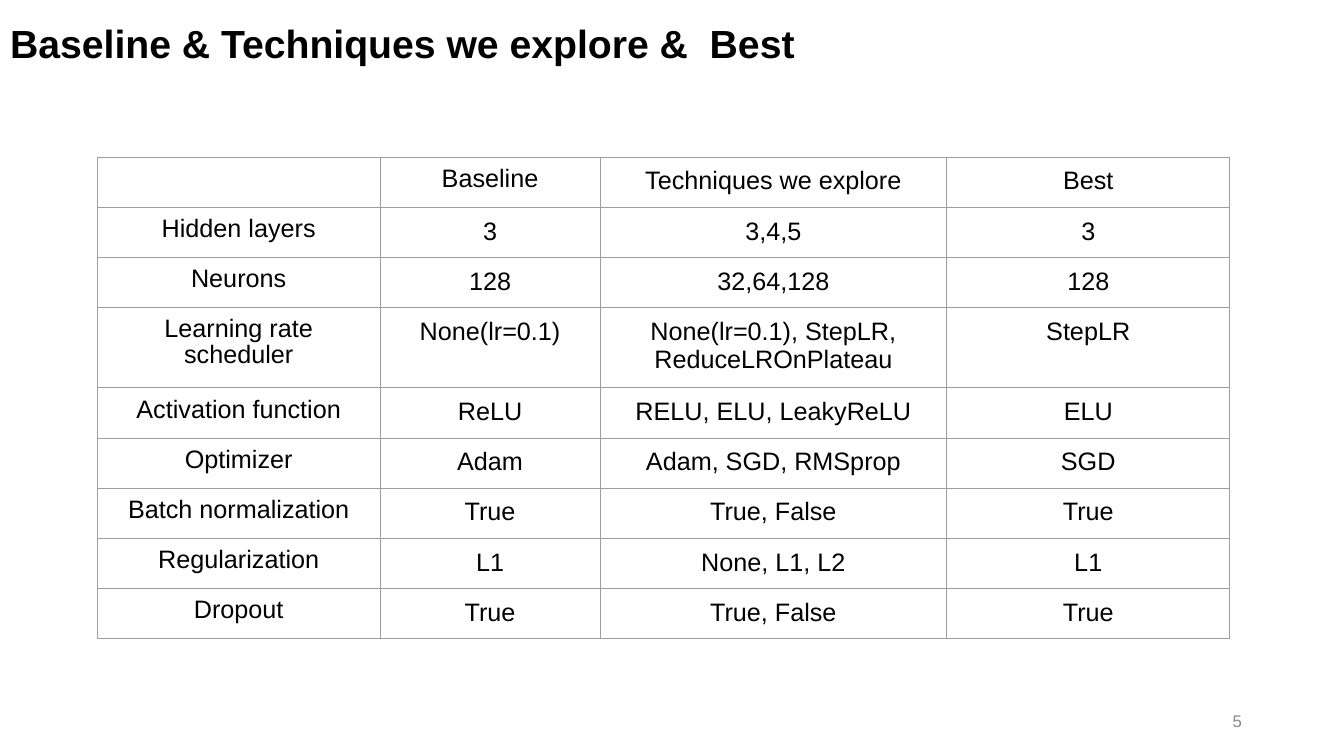
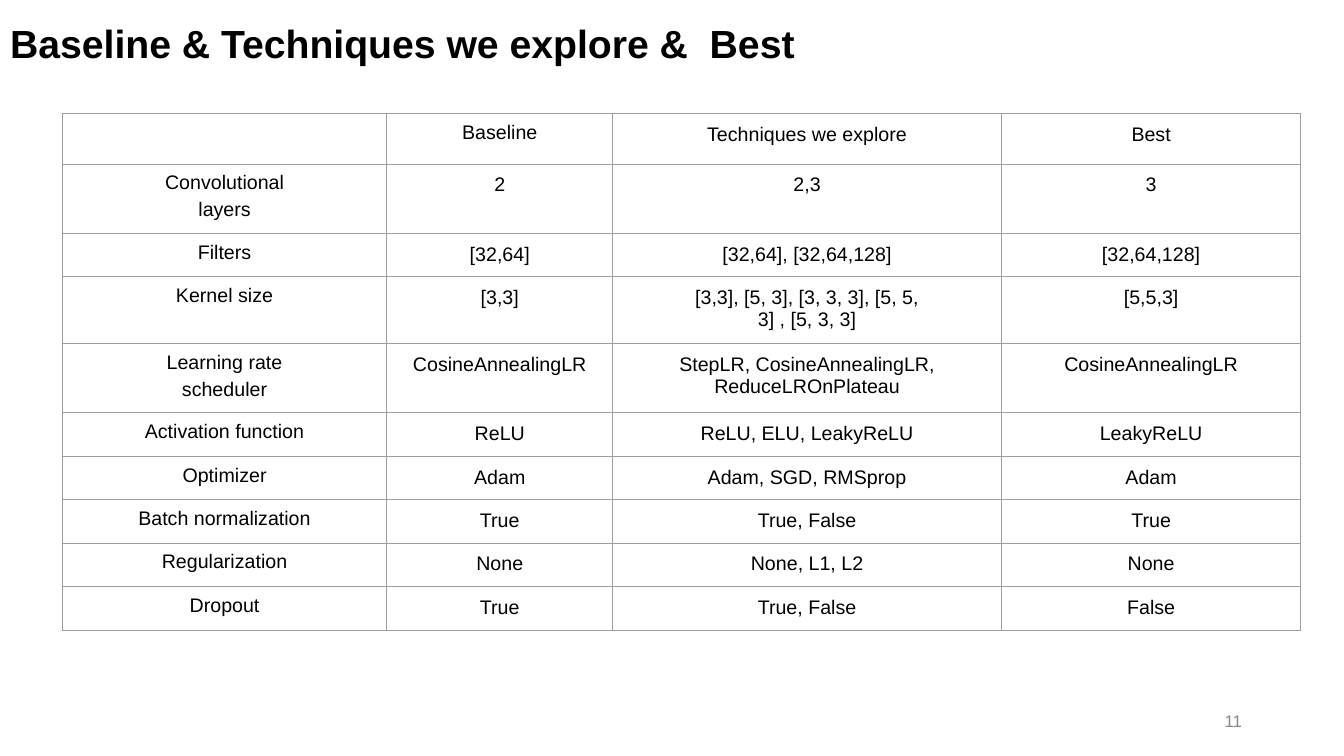
from lxml import etree
from pptx import Presentation
from pptx import util as u
from pptx.dml.color import RGBColor
from pptx.enum import text as t
from pptx.oxml import ns

FONT = "Arial"
BLACK = RGBColor(0x00, 0x00, 0x00)
PAGE_GRAY = RGBColor(0x88, 0x88, 0x88)
BORDER_GRAY = RGBColor(0x9E, 0x9E, 0x9E)
SLIDE_SIZE = u.Cm(33.87), u.Cm(19.05)
TITLE_BOX = u.Cm(0), u.Cm(0), u.Cm(31.75), u.Cm(2.31)
PAGE_BOX = u.Cm(23.93), u.Cm(17.65), u.Cm(7.62), u.Cm(1.02)
TITLE = "Baseline & Techniques we explore &  Best"
HEADER = ("", "Baseline", "Techniques we explore", "Best")
ROW_HEIGHT = u.Cm(1.06)
CELL_MARGIN = u.Cm(0.25)

DENSE_ROWS = [
    HEADER,
    ("Hidden layers", "3", "3,4,5", "3"),
    ("Neurons", "128", "32,64,128", "128"),
    ("Learning rate scheduler", "None(lr=0.1)",
     "None(lr=0.1), StepLR, ReduceLROnPlateau", "StepLR"),
    ("Activation function", "ReLU", "RELU, ELU, LeakyReLU", "ELU"),
    ("Optimizer", "Adam", "Adam, SGD, RMSprop", "SGD"),
    ("Batch normalization", "True", "True, False", "True"),
    ("Regularization", "L1", "None, L1, L2", "L1"),
    ("Dropout", "True", "True, False", "True"),
]
CONVOLUTIONAL_ROWS = [
    HEADER,
    ("Convolutional\nlayers", "2", "2,3", "3"),
    ("Filters", "[32,64]", "[32,64], [32,64,128]", "[32,64,128]"),
    ("Kernel size", "[3,3]",
     "[3,3], [5, 3], [3, 3, 3], [5, 5,\n3] , [5, 3, 3]", "[5,5,3]"),
    ("Learning rate\nscheduler", "CosineAnnealingLR",
     "StepLR, CosineAnnealingLR, ReduceLROnPlateau", "CosineAnnealingLR"),
    ("Activation function", "ReLU", "ReLU, ELU, LeakyReLU", "LeakyReLU"),
    ("Optimizer", "Adam", "Adam, SGD, RMSprop", "Adam"),
    ("Batch normalization", "True", "True, False", "True"),
    ("Regularization", "None", "None, L1, L2", "None"),
    ("Dropout", "True", "True, False", "False"),
]


def write_text(frame, text, size, color=BLACK, bold=False,
               align=t.PP_ALIGN.LEFT, line_spacing=1.0, space_before=0):
    """Write one paragraph per line; space_before applies between them."""
    for index, line in enumerate(text.split("\n")):
        paragraph = frame.add_paragraph() if index else frame.paragraphs[0]
        paragraph.text = line
        paragraph.alignment = align
        paragraph.line_spacing = line_spacing
        paragraph.space_before = u.Pt(space_before if index else 0)
        font = paragraph.font
        font.name, font.size, font.bold = FONT, u.Pt(size), bold
        font.color.rgb = color


def place(shape, box):
    shape.left, shape.top, shape.width, shape.height = box


def add_title(slide, box):
    title = slide.shapes.title
    place(title, box)
    frame = title.text_frame
    frame.word_wrap = True
    frame.auto_size = t.MSO_AUTO_SIZE.NONE
    frame.vertical_anchor = t.MSO_ANCHOR.MIDDLE
    write_text(frame, TITLE, size=28, bold=True, line_spacing=0.9)


def add_page_number(slide, box, number):
    frame = slide.shapes.add_textbox(*box).text_frame
    frame.word_wrap = True
    frame.vertical_anchor = t.MSO_ANCHOR.MIDDLE
    write_text(frame, str(number), size=12, color=PAGE_GRAY,
               align=t.PP_ALIGN.RIGHT)


def add_borders(cell):
    properties = cell._tc.get_or_add_tcPr()
    for side in ("a:lnL", "a:lnR", "a:lnT", "a:lnB"):
        line = etree.SubElement(properties, ns.qn(side), w=str(u.Pt(0.75)))
        fill = etree.SubElement(line, ns.qn("a:solidFill"))
        etree.SubElement(fill, ns.qn("a:srgbClr"), val=str(BORDER_GRAY))


def format_cell(cell):
    cell.margin_left = cell.margin_right = CELL_MARGIN
    cell.margin_top = cell.margin_bottom = CELL_MARGIN
    add_borders(cell)
    cell.fill.background()


def add_settings_table(slide, left, top, widths, rows, size):
    """Draw the grid; labels and the first heading are set tighter."""
    table = slide.shapes.add_table(len(rows), len(widths), left, top,
                                   sum(widths), ROW_HEIGHT * len(rows)).table
    table.first_row = table.horz_banding = False
    for column, width in zip(table.columns, widths):
        column.width = width
    for row_index, row in enumerate(rows):
        table.rows[row_index].height = ROW_HEIGHT
        for column_index, text in enumerate(row):
            cell = table.cell(row_index, column_index)
            format_cell(cell)
            if not text:
                continue
            tight = column_index == 0 or (row_index, column_index) == (0, 1)
            write_text(cell.text_frame, text, size, align=t.PP_ALIGN.CENTER,
                       line_spacing=0.9 if tight else 1.0,
                       space_before=5 if tight else 0)


def add_settings_slide(presentation, number, left, top, widths, rows, size):
    slide = presentation.slides.add_slide(presentation.slide_layouts[5])
    add_title(slide, TITLE_BOX)
    add_page_number(slide, PAGE_BOX, number)
    add_settings_table(slide, u.Cm(left), u.Cm(top),
                       [u.Cm(width) for width in widths], rows, size)


def main():
    presentation = Presentation()
    presentation.slide_width, presentation.slide_height = SLIDE_SIZE
    add_settings_slide(presentation, 5, left=2.45, top=3.96,
                       widths=(7.13, 5.54, 8.74, 7.13),
                       rows=DENSE_ROWS, size=18)
    add_settings_slide(presentation, 11, left=1.57, top=2.87,
                       widths=(8.18, 5.69, 9.8, 7.54),
                       rows=CONVOLUTIONAL_ROWS, size=14)
    presentation.save("out.pptx")


if __name__ == "__main__":
    main()
